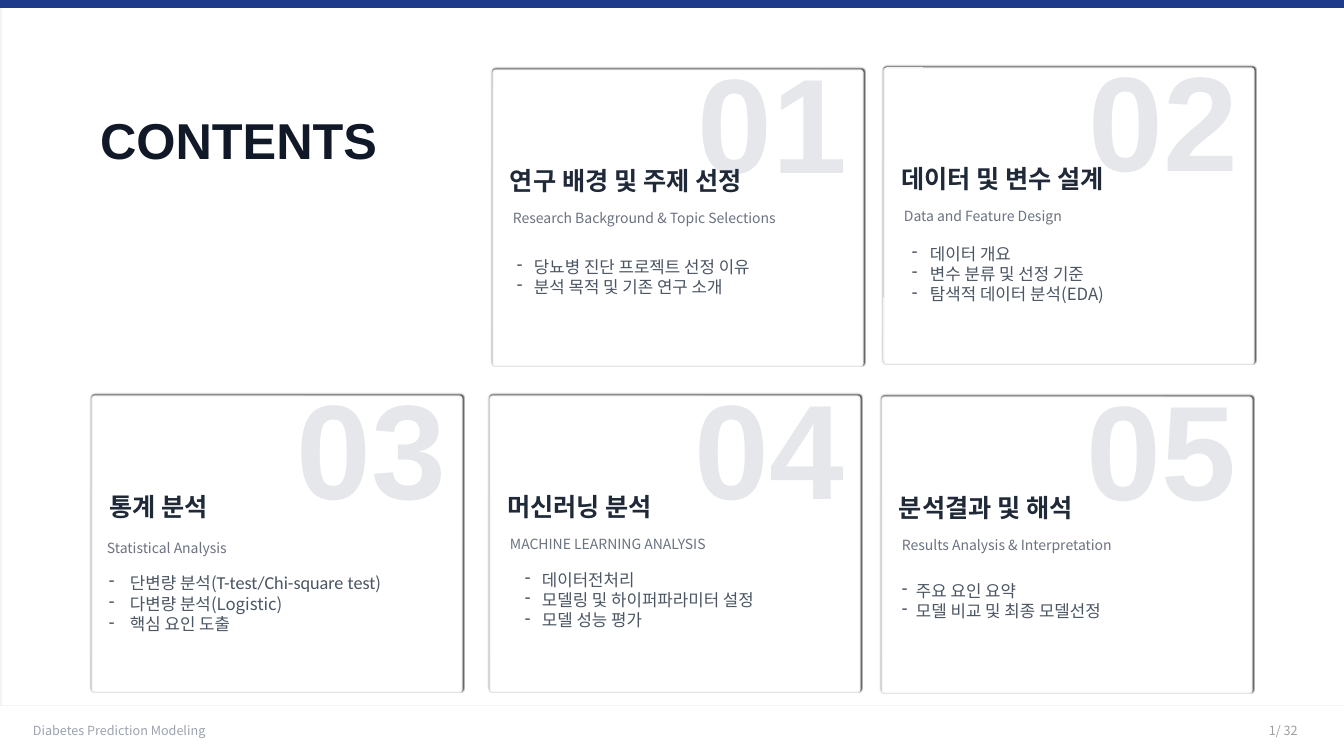
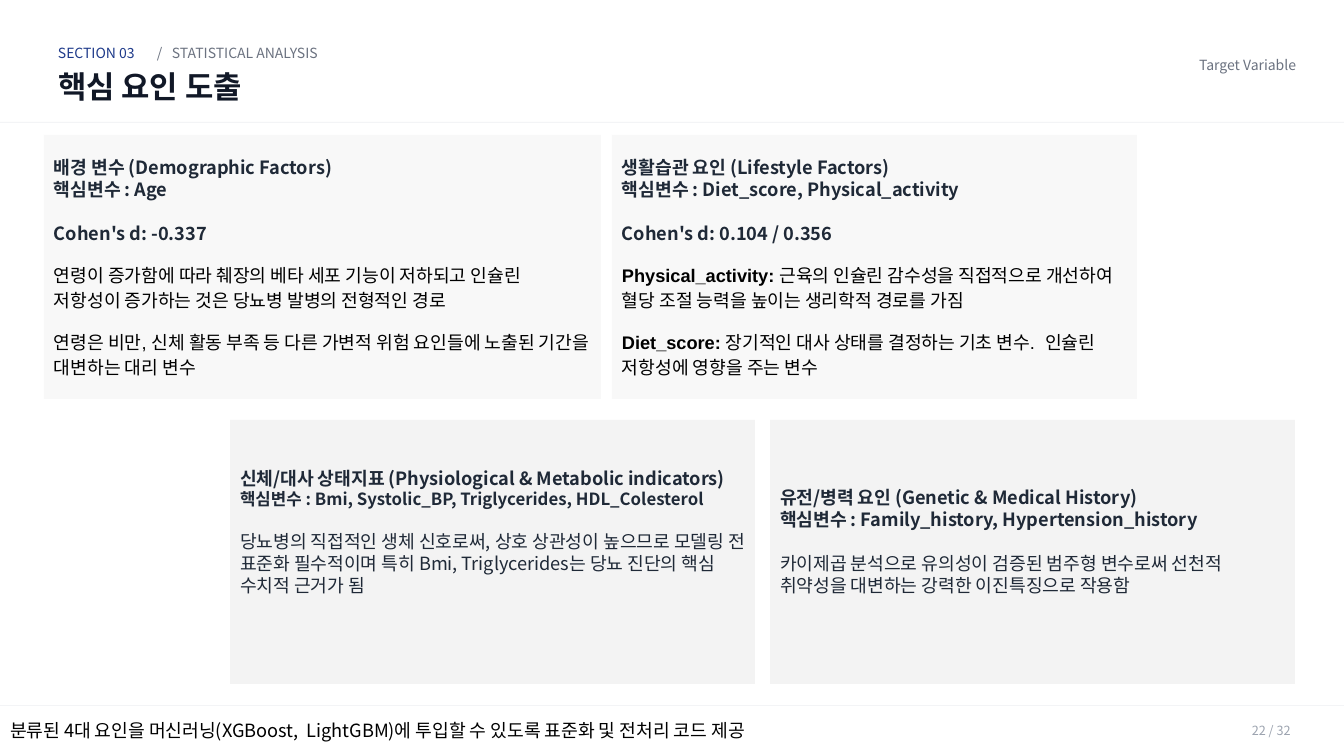
"""Build the contents slide and the key factors slide of a diabetes modeling deck."""
from dataclasses import dataclass, replace
from typing import Any, Optional

from lxml import etree
from pptx import Presentation
from pptx.dml.color import RGBColor
from pptx.enum.shapes import MSO_SHAPE
from pptx.enum.text import MSO_ANCHOR, MSO_AUTO_SIZE, PP_ALIGN
from pptx.oxml.ns import qn
from pptx.util import Emu, Pt

EMU_PER_PX = 914400 / 100.8
SLIDE_WIDTH, SLIDE_HEIGHT = 1344, 756
SANS, LATIN, NARROW = "Noto Sans CJK KR", "Arial", "Calibri"

NAVY = RGBColor(0x1E, 0x3A, 0x8A)
INK = RGBColor(0x11, 0x18, 0x27)
HEADING = RGBColor(0x1F, 0x29, 0x37)
BODY = RGBColor(0x4B, 0x55, 0x63)
MUTED = RGBColor(0x6B, 0x72, 0x80)
FAINT = RGBColor(0x9C, 0xA3, 0xAF)
PAGE_GRAY = RGBColor(0x9E, 0x9E, 0x9E)
NUMERAL = RGBColor(0xE5, 0xE7, 0xEB)
RULE = RGBColor(0xF3, 0xF4, 0xF6)
PANEL_LIGHT = RGBColor(0xF8, 0xF8, 0xF8)
PANEL_DARK = RGBColor(0xF3, 0xF3, 0xF3)
WHITE = RGBColor(0xFF, 0xFF, 0xFF)
BLACK = RGBColor(0, 0, 0)


@dataclass(frozen=True)
class Style:
    """Character format of a run."""
    size: int
    color: RGBColor
    name: str = SANS
    bold: bool = False


@dataclass(frozen=True)
class Box:
    """Place and size in px."""
    left: int
    top: int
    width: int
    height: int

    def emu(self) -> list[Emu]:
        """Return the four lengths in EMU."""
        return [px(value) for value in (self.left, self.top, self.width, self.height)]


@dataclass(frozen=True)
class Line:
    """Paragraph made of styled runs, with optional spacing in points."""
    runs: tuple[tuple[str, Style], ...]
    spacing: Optional[float] = None
    before: float = 0
    indent: int = 0


@dataclass(frozen=True)
class Card:
    """Contents card, with the place of its bullet list."""
    number: str
    left: int
    top: int
    heading: str
    subtitle: str
    list_left: int
    list_top: int
    indent: int
    items: tuple[tuple[tuple[str, Style], ...], ...]
    subtitle_left: int = 20
    subtitle_top: int = 137


@dataclass(frozen=True)
class Panel:
    """Factor panel with its text and bottom inset."""
    box: Box
    fill: RGBColor
    lines: tuple[Line, ...]
    bottom_inset: int = 10


CONTENTS_TITLE = Style(36, INK, LATIN, True)
SECTION_TITLE = Style(22, INK, LATIN, True)
CARD_NUMBER = Style(96, NUMERAL, LATIN, True)
CARD_HEADING = Style(18, HEADING, bold=True)
CARD_ITEM = Style(12, BODY)
LABEL = Style(10, MUTED)
SECTION_LABEL = Style(10, NAVY)
SMALL = Style(9, FAINT)
FOOTER_NOTE = Style(13, BLACK)
FACTOR = Style(13, HEADING, bold=True)
FACTOR_SMALL = replace(FACTOR, size=12)
FACTOR_TEXT = replace(FACTOR, bold=False)
DETAIL = Style(13, BLACK, LATIN)
DETAIL_BOLD = replace(DETAIL, bold=True)
ITEM_PITCH, FACTOR_PITCH, DETAIL_PITCH = 14.6, 15.8, 18


def px(value: int) -> Emu:
    """Turn px into EMU."""
    return Emu(round(value * EMU_PER_PX))


def set_all(target: Any, values: dict[str, Any]) -> None:
    """Set every named attribute of the target."""
    for name, value in values.items():
        setattr(target, name, value)


def line(text: str, style: Style, spacing: Optional[float] = None, before: float = 0) -> Line:
    """Return a paragraph with a single run."""
    return Line(((text, style),), spacing, before)


def add_run(paragraph: Any, text: str, style: Style) -> None:
    """Add a styled run to a paragraph."""
    run = paragraph.add_run()
    run.text = text
    set_all(run.font, {"name": style.name, "size": Pt(style.size), "bold": style.bold})
    run.font.color.rgb = style.color
    etree.SubElement(run.font._element, qn("a:ea"), typeface=SANS)


def write(shape: Any, lines: tuple[Line, ...], inset: int = 0, bottom: Optional[int] = None,
          anchor: MSO_ANCHOR = MSO_ANCHOR.MIDDLE, alignment: PP_ALIGN = PP_ALIGN.LEFT) -> None:
    """Fill the text frame of a shape."""
    frame = shape.text_frame
    set_all(frame, {
        "word_wrap": True, "auto_size": MSO_AUTO_SIZE.NONE, "vertical_anchor": anchor,
        "margin_left": px(inset), "margin_right": px(inset), "margin_top": px(inset),
        "margin_bottom": px(inset if bottom is None else bottom),
    })
    for index, content in enumerate(lines):
        paragraph = frame.add_paragraph() if index else frame.paragraphs[0]
        paragraph.alignment = alignment
        if content.spacing:
            paragraph.line_spacing = Pt(content.spacing)
        if content.before:
            paragraph.space_before = Pt(content.before)
        if content.indent:
            properties = paragraph._p.get_or_add_pPr()
            properties.set("marL", str(px(content.indent)))
            properties.set("indent", str(-px(content.indent)))
            etree.SubElement(properties, qn("a:buChar"), char="-")
        for text, style in content.runs:
            add_run(paragraph, text, style)


def add_text(shapes: Any, box: Box, lines: tuple[Line, ...], **options: Any) -> None:
    """Add a text box."""
    write(shapes.add_textbox(*box.emu()), lines, **options)


def add_block(shapes: Any, box: Box, fill: RGBColor,
              kind: MSO_SHAPE = MSO_SHAPE.RECTANGLE) -> Any:
    """Add a plain filled shape without outline or shadow."""
    shape = shapes.add_shape(kind, *box.emu())
    shape.shadow.inherit = False
    shape.fill.solid()
    shape.fill.fore_color.rgb = fill
    shape.line.fill.background()
    return shape


def add_title(slide: Any, box: Box, text: str, style: Style) -> None:
    """Place and format the title placeholder."""
    title = slide.shapes.title
    set_all(title, dict(zip(("left", "top", "width", "height"), box.emu())))
    write(title, (line(text, style),))


def add_footer(slide: Any, page: str, page_left: int, page_color: RGBColor) -> Any:
    """Draw the footer band with its rule and page number and return the band."""
    band = add_block(slide.shapes, Box(0, 705, SLIDE_WIDTH, 51), WHITE)
    add_block(slide.shapes, Box(0, 705, SLIDE_WIDTH, 1), RULE)
    add_text(slide.shapes, Box(page_left, 722, 48, 18),
             (line(page, replace(SMALL, color=page_color)),))
    return band


def add_card_frame(shapes: Any, box: Box) -> None:
    """Draw the rounded card outline with a thin shadow cast upwards."""
    frame = add_block(shapes, box, WHITE, MSO_SHAPE.ROUNDED_RECTANGLE)
    frame.adjustments[0] = 0.01
    frame.line.color.rgb = RULE
    frame.line.width = Pt(1)
    effects = frame._element.spPr.find(qn("a:effectLst"))
    shadow = etree.SubElement(effects, qn("a:outerShdw"), blurRad="12700", dist="12700",
                              dir="16200000", algn="bl", rotWithShape="0")
    color = etree.SubElement(shadow, qn("a:srgbClr"), val=str(BLACK))
    etree.SubElement(color, qn("a:alpha"), val="75000")


def add_card(slide: Any, card: Card) -> None:
    """Draw a contents card as a group."""
    shapes = slide.shapes.add_group_shape().shapes
    left, top = card.left, card.top
    add_card_frame(shapes, Box(left, top, 370, 296))
    add_text(shapes, Box(left + 205, top - 47, 244, 194), (line(card.number, CARD_NUMBER),))
    add_text(shapes, Box(left + 17, top + 92, 386, 37), (line(card.heading, CARD_HEADING),))
    add_text(shapes, Box(left + card.subtitle_left, top + card.subtitle_top, 280, 21),
             (line(card.subtitle, LABEL),))
    add_text(shapes, Box(card.list_left, card.list_top, 300, 21 * len(card.items)),
             tuple(Line(runs, ITEM_PITCH, indent=card.indent) for runs in card.items),
             anchor=MSO_ANCHOR.TOP)


def items(*texts: str) -> tuple[tuple[tuple[str, Style], ...], ...]:
    """Return list items with one run each."""
    return tuple(((text, CARD_ITEM),) for text in texts)


CARDS = (
    Card("01", 493, 70, "연구 배경 및 주제 선정", "Research Background & Topic Selections", 517, 256, 17,
         items("당뇨병 진단 프로젝트 선정 이유", "분석 목적 및 기존 연구 소개")),
    Card("02", 884, 68, "데이터 및 변수 설계", "Data and Feature Design", 912, 243, 18,
         items("데이터 개요", "변수 분류 및 선정 기준", "탐색적 데이터 분석(EDA)")),
    Card("03", 92, 396, "통계 분석", "Statistical Analysis", 109, 573, 21,
         ((("단변량 분석(", CARD_ITEM),
           ("T-test/Chi-square test", replace(CARD_ITEM, size=13, name=NARROW)),
           (")", CARD_ITEM)),) + items("다변량 분석(Logistic)", "핵심 요인 도출"), 15, 141),
    Card("04", 490, 396, "머신러닝 분석", "MACHINE LEARNING ANALYSIS", 525, 569, 17,
         items("데이터전처리", "모델링 및 하이퍼파라미터 설정", "모델 성능 평가")),
    Card("05", 882, 397, "분석결과 및 해석", "Results Analysis & Interpretation", 902, 580, 14,
         items("주요 요인 요약", "모델 비교 및 최종 모델선정")),
)

PANELS = (
    Panel(Box(44, 135, 557, 264), PANEL_LIGHT, (
        line("배경 변수 (Demographic Factors)", FACTOR, FACTOR_PITCH),
        line("핵심변수 : Age", FACTOR, FACTOR_PITCH),
        line("Cohen's d: -0.337", FACTOR, FACTOR_PITCH, FACTOR_PITCH),
        line("연령이 증가함에 따라 췌장의 베타 세포 기능이 저하되고 인슐린 저항성이 증가하는 것은 "
             "당뇨병 발병의 전형적인 경로", DETAIL, DETAIL_PITCH, 12),
        line("연령은 비만, 신체 활동 부족 등 다른 가변적 위험 요인들에 노출된 기간을 대변하는 대리 변수",
             DETAIL, DETAIL_PITCH, 12))),
    Panel(Box(612, 135, 525, 264), PANEL_LIGHT, (
        line("생활습관 요인 (Lifestyle Factors)", FACTOR, FACTOR_PITCH),
        line("핵심변수 : Diet_score, Physical_activity", FACTOR, FACTOR_PITCH),
        line("Cohen's d: 0.104 / 0.356", FACTOR, FACTOR_PITCH, FACTOR_PITCH),
        Line((("Physical_activity:", DETAIL_BOLD),
              (" 근육의 인슐린 감수성을 직접적으로 개선하여 혈당 조절 능력을 높이는 생리학적 경로를 가짐",
               DETAIL)), DETAIL_PITCH, 12),
        Line((("Diet_score:", DETAIL_BOLD),
              (" 장기적인 대사 상태를 결정하는 기초 변수.  인슐린 저항성에 영향을 주는 변수", DETAIL)),
             DETAIL_PITCH, 12))),
    Panel(Box(230, 420, 525, 264), PANEL_DARK, (
        line("신체/대사 상태지표 (Physiological & Metabolic indicators)", FACTOR, FACTOR_PITCH),
        line("핵심변수 : Bmi, Systolic_BP, Triglycerides, HDL_Colesterol", FACTOR_SMALL, ITEM_PITCH),
        line("당뇨병의 직접적인 생체 신호로써, 상호 상관성이 높으므로 모델링 전 표준화 필수적이며 "
             "특히 Bmi, Triglycerides는 당뇨 진단의 핵심 수치적 근거가 됨",
             FACTOR_TEXT, FACTOR_PITCH, ITEM_PITCH)), 51),
    Panel(Box(770, 420, 525, 264), PANEL_DARK, (
        line("유전/병력 요인 (Genetic & Medical History)", FACTOR, FACTOR_PITCH),
        line("핵심변수 : Family_history, Hypertension_history", FACTOR, FACTOR_PITCH),
        line("카이제곱 분석으로 유의성이 검증된 범주형 변수로써 선천적 취약성을 대변하는 강력한 "
             "이진특징으로 작용함", FACTOR_TEXT, FACTOR_PITCH, FACTOR_PITCH)), 32),
)


def build_contents(slide: Any) -> None:
    """Draw the contents slide."""
    add_block(slide.shapes, Box(0, 0, 2, SLIDE_HEIGHT), RULE)
    add_block(slide.shapes, Box(0, 0, SLIDE_WIDTH, 8), NAVY)
    add_title(slide, Box(100, 103, 380, 73), "CONTENTS", CONTENTS_TITLE)
    add_footer(slide, "1/ 32", 1269, PAGE_GRAY)
    add_text(slide.shapes, Box(33, 722, 190, 18), (line("Diabetes Prediction Modeling", SMALL),))
    for card in CARDS:
        add_card(slide, card)


def build_key_factors(slide: Any) -> None:
    """Draw the key factors slide."""
    add_block(slide.shapes, Box(0, 122, SLIDE_WIDTH, 1), RULE)
    for left, width, text, style in ((58, 95, "SECTION 03", SECTION_LABEL), (157, 14, "/", LABEL),
                                     (172, 184, "STATISTICAL ANALYSIS", LABEL)):
        add_text(slide.shapes, Box(left, 42, width, 21), (line(text, style),))
    add_title(slide, Box(58, 63, 490, 46), "핵심 요인 도출", SECTION_TITLE)
    add_text(slide.shapes, Box(1182, 54, 114, 21), (line("Target Variable", LABEL),),
             alignment=PP_ALIGN.RIGHT)
    for panel in PANELS:
        write(add_block(slide.shapes, panel.box, panel.fill), panel.lines, 10, panel.bottom_inset)
    band = add_footer(slide, "22 / 32", 1252, FAINT)
    note = "분류된 4대 요인을 머신러닝(XGBoost,  LightGBM)에 투입할 수 있도록 표준화 및 전처리 코드 제공"
    write(band, (line(note, FOOTER_NOTE),), 10)


def main() -> None:
    """Build and save the presentation."""
    presentation = Presentation()
    presentation.slide_width, presentation.slide_height = px(SLIDE_WIDTH), px(SLIDE_HEIGHT)
    for build in (build_contents, build_key_factors):
        build(presentation.slides.add_slide(presentation.slide_layouts[5]))
    presentation.save("out.pptx")


if __name__ == "__main__":
    main()
